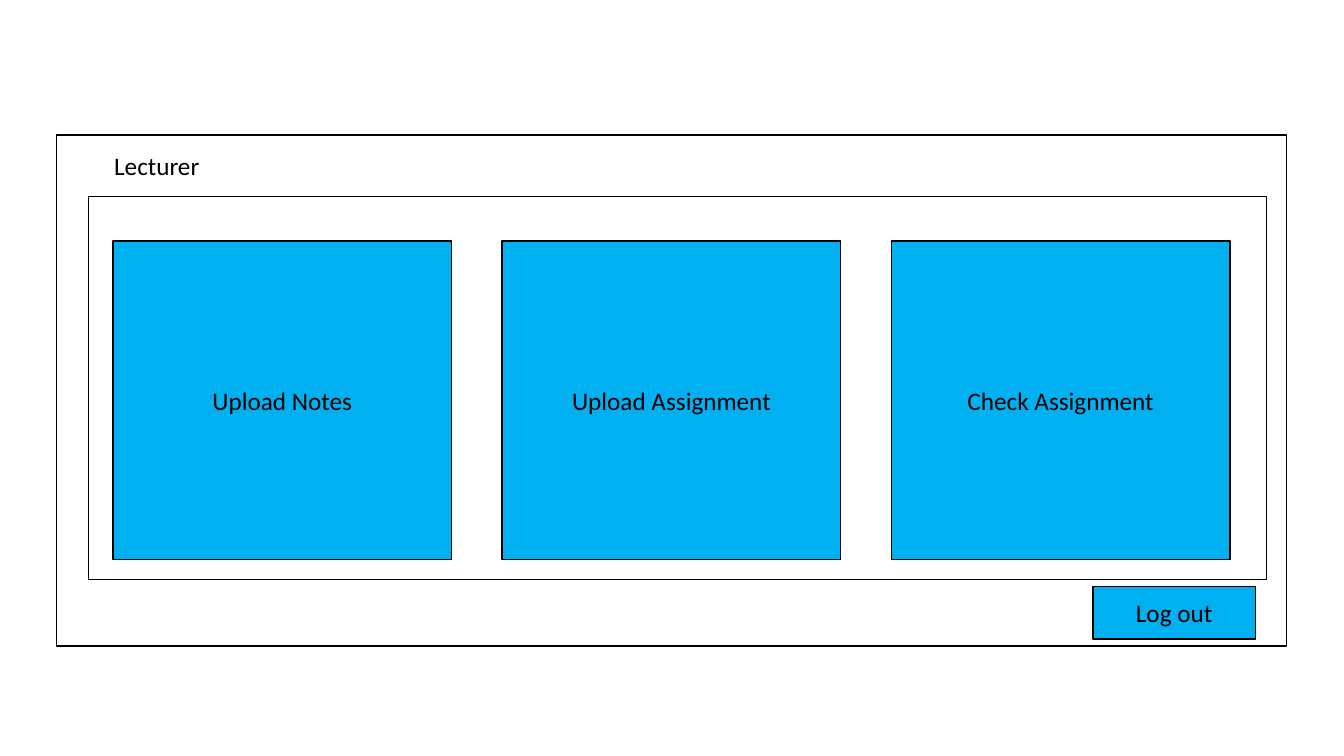
from dataclasses import dataclass

from pptx import Presentation
from pptx.dml.color import RGBColor
from pptx.enum.shapes import MSO_SHAPE
from pptx.enum.text import MSO_ANCHOR, PP_ALIGN
from pptx.util import Inches, Pt

RECTANGLE = MSO_SHAPE.RECTANGLE
MIDDLE = MSO_ANCHOR.MIDDLE
CENTER = PP_ALIGN.CENTER


@dataclass(frozen=True)
class Theme:
    """Colours, font and sizes of the wireframe."""
    ink: RGBColor = RGBColor(0x00, 0x00, 0x00)
    button: RGBColor = RGBColor(0x00, 0xB0, 0xF0)
    font: str = "Calibri"
    text_size: int = 18
    line_width: int = 1


THEME = Theme()
ACTIONS = ("Upload Notes", "Upload Assignment", "Check Assignment")


def write_text(box, text, *, size=THEME.text_size, color=THEME.ink, align=CENTER):
    """Write one line of formatted text into a box."""
    frame = box.text_frame
    frame.word_wrap = True
    frame.vertical_anchor = MIDDLE
    para = frame.paragraphs[0]
    para.alignment = align
    span = para.add_run()
    span.text = text
    span.font.name = THEME.font
    span.font.size = Pt(size)
    span.font.color.rgb = color


def add_box(page, left, top, width, height, *, fill=None, text=None):
    """Add an outlined rectangle with an optional fill and label."""
    box = page.shapes.add_shape(
        RECTANGLE, Inches(left), Inches(top), Inches(width), Inches(height))
    box.shadow.inherit = False
    box.line.color.rgb = THEME.ink
    box.line.width = Pt(THEME.line_width)
    if fill is None:
        box.fill.background()
    else:
        box.fill.solid()
        box.fill.fore_color.rgb = fill
    if text:
        write_text(box, text)


def add_heading(page, left, top, width, height, text):
    """Add the name of the screen in the given box."""
    box = page.shapes.add_textbox(
        Inches(left), Inches(top), Inches(width), Inches(height))
    write_text(box, text)


def add_action_panel(page, left, top, width, height):
    """Add the panel with its row of equally spaced action buttons."""
    add_box(page, left, top, width, height)
    button_width, gap = 3.36, 0.5
    for column, action in enumerate(ACTIONS):
        add_box(page, left + 0.24 + column * (button_width + gap), top + 0.44,
                button_width, 3.16, fill=THEME.button, text=action)


def add_lecturer_screen(page, left, top, width, height):
    """Add the screen frame, heading, action panel and log out button."""
    add_box(page, left, top, width, height)
    heading_height = 0.61
    add_heading(page, left, top, 1.99, heading_height, "Lecturer")
    add_action_panel(page, left + 0.32, top + heading_height, width - 0.52, 3.8)
    button_width, button_height = 1.61, 0.52
    add_box(page, left + width - button_width - 0.31,
            top + height - button_height - 0.07,
            button_width, button_height, fill=THEME.button, text="Log out")


def main():
    """Build and save the deck."""
    deck = Presentation()
    deck.slide_width = Inches(13.33)
    deck.slide_height = Inches(7.5)
    page = deck.slides.add_slide(deck.slide_layouts[6])
    add_lecturer_screen(page, 0.56, 1.34, 12.2, 5.07)
    deck.save("out.pptx")


if __name__ == "__main__":
    main()
